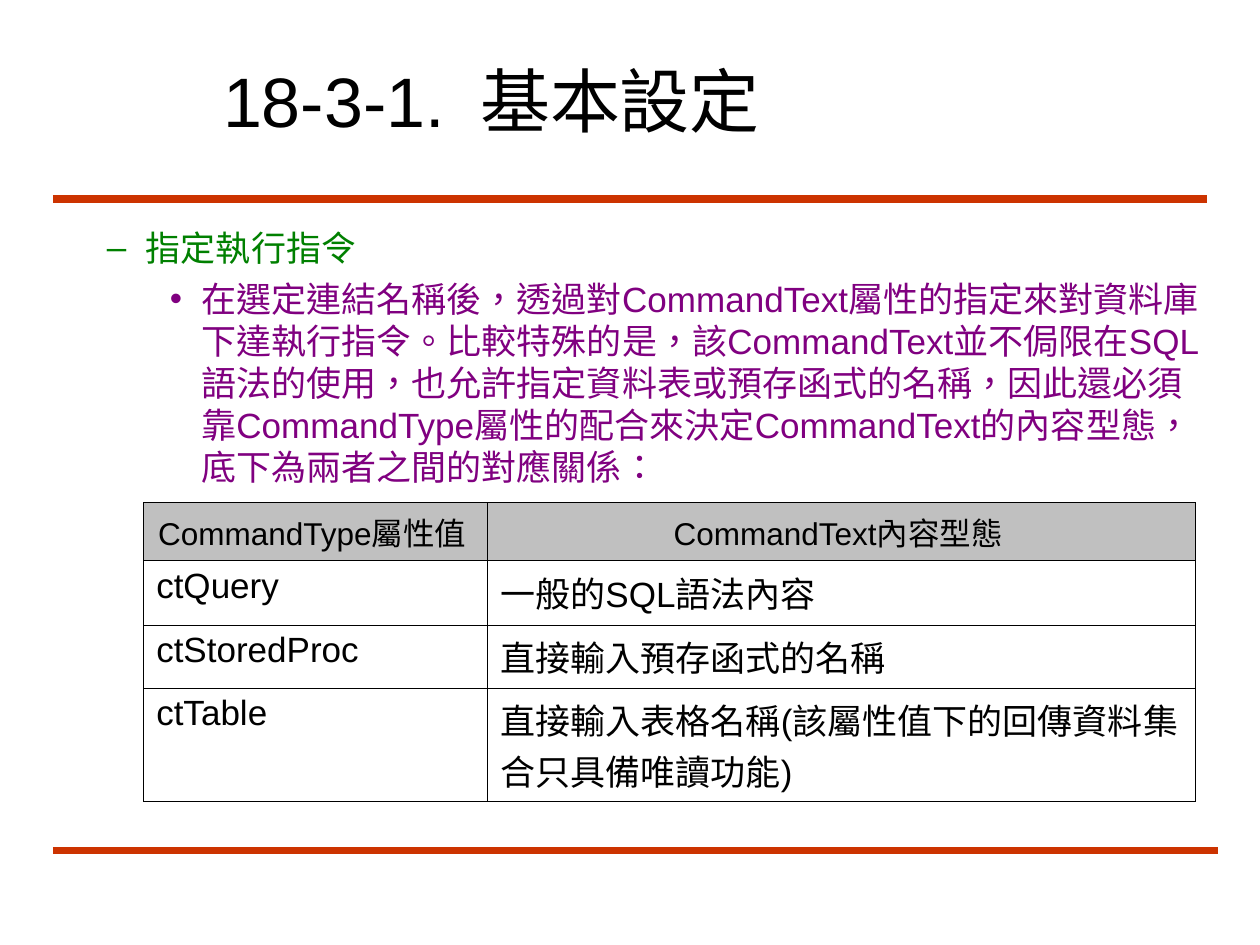
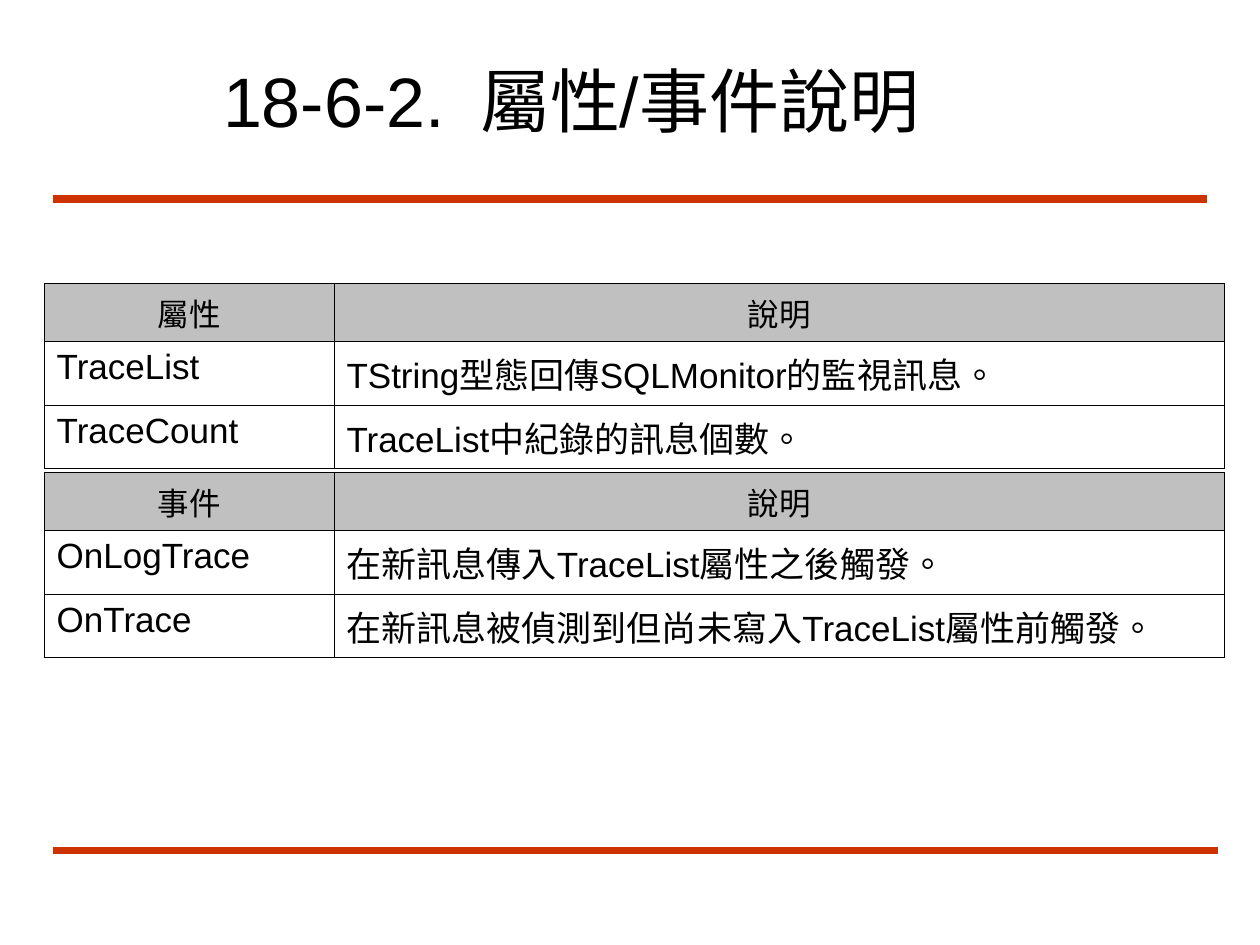
from dataclasses import dataclass

import pptx
import pptx.dml.color
import pptx.enum.shapes
import pptx.enum.text
import pptx.oxml
import pptx.oxml.ns
import pptx.presentation
import pptx.slide
import pptx.text.text
import pptx.util

Inches = pptx.util.Inches
Pt = pptx.util.Pt
ALIGN = pptx.enum.text.PP_ALIGN
ANCHOR = pptx.enum.text.MSO_ANCHOR
NAMESPACE = pptx.oxml.ns.nsdecls("a")
TITLE_ONLY_LAYOUT = 5


@dataclass(frozen=True)
class Theme:
    font: str = "Arial"
    language: str = "zh-TW"
    text: str = "000000"
    rule: str = "CC3300"
    header_fill: str = "C0C0C0"
    topic: str = "008000"
    detail: str = "800080"
    title_size: float = 40
    body_size: float = 20
    header_size: float = 18
    rule_width: float = 4.5
    border_width: float = 0.45
    space_before: float = 5


@dataclass(frozen=True)
class Rule:
    left: float
    right: float
    y: float


@dataclass(frozen=True)
class Bullet:
    level: int
    mark: str
    color: str
    margin: float
    indent: float
    text: str


@dataclass(frozen=True)
class Grid:
    left: float
    top: float
    column_widths: tuple[float, ...]
    row_heights: tuple[float, ...]
    rows: tuple[tuple[str, ...], ...]


@dataclass(frozen=True)
class Page:
    number: str
    heading: str
    grids: tuple[Grid, ...]
    bullets: tuple[Bullet, ...] = ()


THEME = Theme()
RULES = (Rule(0.42, 9.58, 1.58), Rule(0.42, 9.67, 6.75))
TRACE_COLUMNS = (2.3, 7.07)

PAGES = (
    Page(
        "18-3-1.",
        "基本設定",
        (
            Grid(1.14, 3.99, (2.73, 5.62), (0.46, 0.51, 0.5, 0.9), (
                ("CommandType屬性值 ", "CommandText內容型態 "),
                ("ctQuery", "一般的SQL語法內容"),
                ("ctStoredProc", "直接輸入預存函式的名稱"),
                ("ctTable", "直接輸入表格名稱(該屬性值下的回傳資料集合只具備唯讀功能)"),
            )),
        ),
        (
            Bullet(1, "–", THEME.topic, 0.81, -0.31, "指定執行指令"),
            Bullet(
                2, "•", THEME.detail, 1.25, -0.25,
                "在選定連結名稱後，透過對CommandText屬性的指定來對資料庫下達執行指令。"
                "比較特殊的是，該CommandText並不侷限在SQL語法的使用，"
                "也允許指定資料表或預存函式的名稱，因此還必須靠CommandType屬性的配合"
                "來決定CommandText的內容型態，底下為兩者之間的對應關係：",
            ),
        ),
    ),
    Page(
        "18-6-2.",
        "屬性/事件說明",
        (
            Grid(0.35, 2.25, TRACE_COLUMNS, (0.4, 0.44, 0.44), (
                ("屬性", "說明"),
                ("TraceList", "TString型態回傳SQLMonitor的監視訊息。"),
                ("TraceCount", "TraceList中紀錄的訊息個數。"),
            )),
            Grid(0.35, 3.75, TRACE_COLUMNS, (0.4, 0.44, 0.46), (
                ("事件", "說明"),
                ("OnLogTrace", "在新訊息傳入TraceList屬性之後觸發。"),
                ("OnTrace", "在新訊息被偵測到但尚未寫入TraceList屬性前觸發。"),
            )),
        ),
    ),
)


def rgb(color: str) -> pptx.dml.color.RGBColor:
    return pptx.dml.color.RGBColor.from_string(color)


def set_attributes(target: object, values: dict[str, object]) -> None:
    for name, value in values.items():
        setattr(target, name, value)


def write(paragraph: pptx.text.text._Paragraph, text: str, size: float, color: str = THEME.text) -> None:
    run = paragraph.add_run()
    run.text = text
    set_attributes(run.font, {"name": THEME.font, "size": Pt(size), "bold": False})
    run.font.color.rgb = rgb(color)
    run._r.get_or_add_rPr().set("lang", THEME.language)


def add_rules(presentation: pptx.presentation.Presentation, slide: pptx.slide.Slide) -> None:
    """Draw the rules and move them to the master, which all slides share."""
    for rule in RULES:
        line = slide.shapes.add_connector(
            pptx.enum.shapes.MSO_CONNECTOR.STRAIGHT,
            Inches(rule.left), Inches(rule.y), Inches(rule.right), Inches(rule.y),
        )
        line.line.color.rgb = rgb(THEME.rule)
        line.line.width = Pt(THEME.rule_width)
        line.element.spPr.append(pptx.oxml.parse_xml(f"<a:effectLst {NAMESPACE}/>"))
        presentation.slide_master.shapes.element.append(line.element)


def add_title(slide: pptx.slide.Slide, page: Page) -> None:
    title = slide.shapes.title
    set_attributes(title, {
        "left": Inches(1.67), "top": Inches(0.33), "width": Inches(7.58), "height": Inches(0.92),
    })
    title.text_frame.vertical_anchor = ANCHOR.MIDDLE
    paragraph = title.text_frame.paragraphs[0]
    paragraph.alignment = ALIGN.LEFT
    paragraph._p.get_or_add_pPr().append(pptx.oxml.parse_xml(
        f'<a:tabLst {NAMESPACE}><a:tab pos="{Inches(2.04)}" algn="l"/></a:tabLst>'
    ))
    write(paragraph, f"{page.number}\t{page.heading}", THEME.title_size)


def add_bullets(slide: pptx.slide.Slide, bullets: tuple[Bullet, ...]) -> None:
    box = slide.shapes.add_textbox(Inches(0.25), Inches(1.75), Inches(9.5), Inches(4.83))
    frame = box.text_frame
    frame.word_wrap = True
    for index, bullet in enumerate(bullets):
        paragraph = frame.add_paragraph() if index else frame.paragraphs[0]
        set_attributes(paragraph, {
            "level": bullet.level,
            "space_before": Pt(THEME.space_before if index else 0),
        })
        properties = paragraph._p.get_or_add_pPr()
        properties.set("marL", str(Inches(bullet.margin)))
        properties.set("indent", str(Inches(bullet.indent)))
        for element in (
            f'<a:buClr {NAMESPACE}><a:srgbClr val="{bullet.color}"/></a:buClr>',
            f'<a:buFont {NAMESPACE} typeface="{THEME.font}"/>',
            f'<a:buChar {NAMESPACE} char="{bullet.mark}"/>',
        ):
            properties.append(pptx.oxml.parse_xml(element))
        write(paragraph, bullet.text, THEME.body_size, bullet.color)


def add_borders(cell: object) -> None:
    properties = cell._tc.get_or_add_tcPr()
    for index, side in enumerate(("lnL", "lnR", "lnT", "lnB")):
        properties.insert(index, pptx.oxml.parse_xml(
            f'<a:{side} {NAMESPACE} w="{Pt(THEME.border_width)}"><a:solidFill>'
            f'<a:srgbClr val="{THEME.text}"/></a:solidFill></a:{side}>'
        ))


def add_grid(slide: pptx.slide.Slide, grid: Grid) -> None:
    table = slide.shapes.add_table(
        len(grid.rows), len(grid.column_widths), Inches(grid.left), Inches(grid.top),
        Inches(sum(grid.column_widths)), Inches(sum(grid.row_heights)),
    ).table
    set_attributes(table, {"first_row": False, "horz_banding": False})
    for column, width in zip(table.columns, grid.column_widths):
        column.width = Inches(width)
    for row_index, (height, texts) in enumerate(zip(grid.row_heights, grid.rows)):
        table.rows[row_index].height = Inches(height)
        is_header = row_index == 0
        for cell, text in zip(table.rows[row_index].cells, texts):
            paragraph = cell.text_frame.paragraphs[0]
            paragraph.alignment = ALIGN.CENTER if is_header else ALIGN.LEFT
            write(paragraph, text, THEME.header_size if is_header else THEME.body_size)
            if is_header:
                cell.fill.solid()
                cell.fill.fore_color.rgb = rgb(THEME.header_fill)
            else:
                cell.fill.background()
            add_borders(cell)


def main() -> None:
    presentation = pptx.Presentation()
    presentation.slide_width = Inches(10)
    presentation.slide_height = Inches(7.5)
    for index, page in enumerate(PAGES):
        slide = presentation.slides.add_slide(presentation.slide_layouts[TITLE_ONLY_LAYOUT])
        if index == 0:
            add_rules(presentation, slide)
        add_title(slide, page)
        if page.bullets:
            add_bullets(slide, page.bullets)
        for grid in page.grids:
            add_grid(slide, grid)
    presentation.save("out.pptx")


if __name__ == "__main__":
    main()
